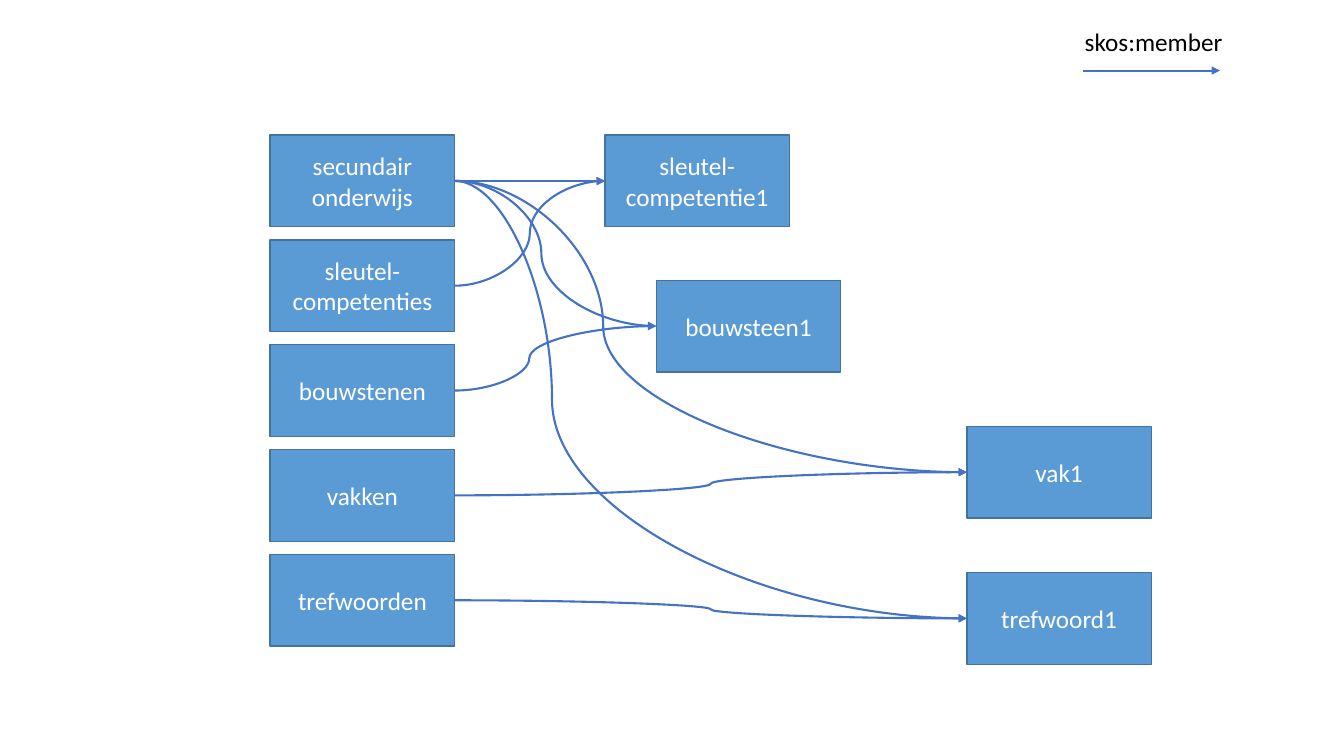
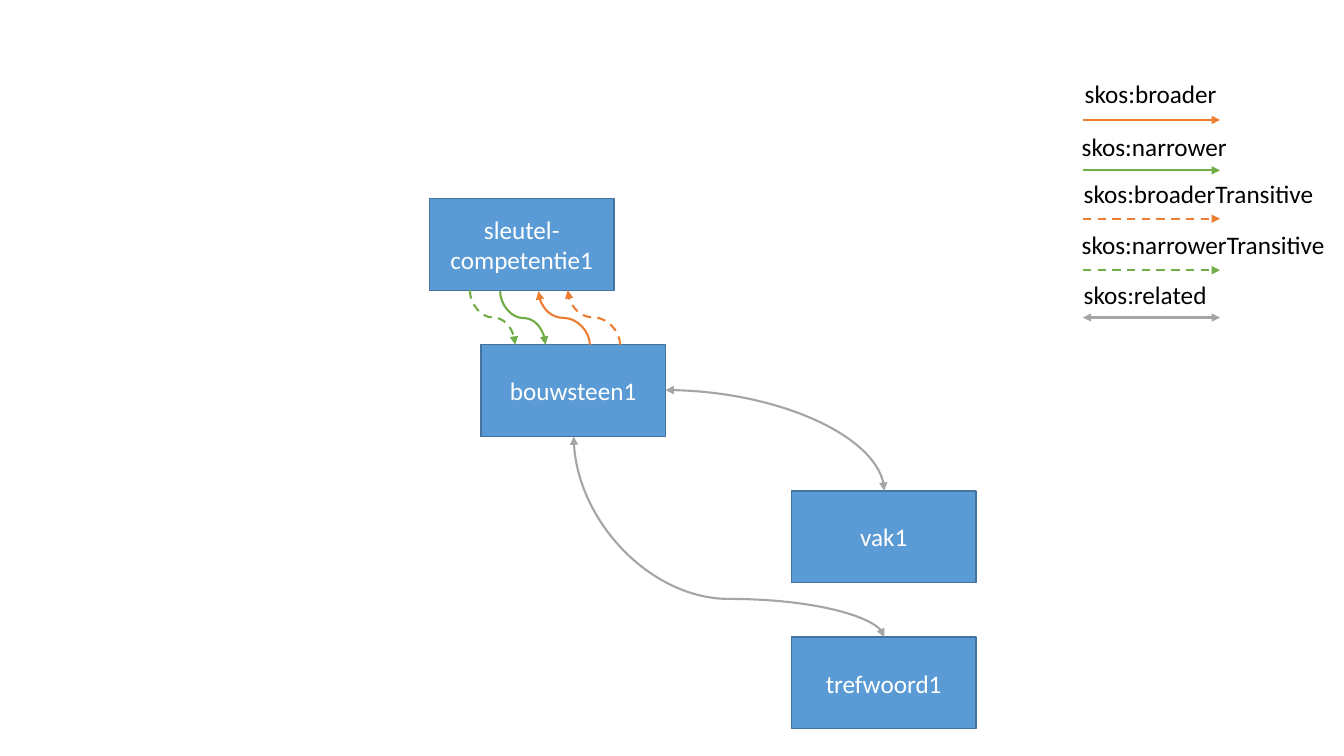
from lxml.etree import SubElement
from pptx import Presentation
from pptx.dml.color import RGBColor
from pptx.enum.dml import MSO_LINE
from pptx.enum.shapes import MSO_CONNECTOR, MSO_SHAPE
from pptx.enum.text import MSO_ANCHOR, PP_ALIGN
from pptx.oxml.ns import qn
from pptx.util import Pt

PX = 9144  # EMU in one px, 100 px to the inch
SLIDE_WIDTH, SLIDE_HEIGHT = 1333, 750
BOX_WIDTH, BOX_HEIGHT = 183, 91
LABEL_HEIGHT = 40
LEGEND_LEFT, LEGEND_RIGHT = 1074, 1210
TOP_SITE, LEFT_SITE, BOTTOM_SITE, RIGHT_SITE = range(4)

COLORS = {
    "box": "5B9BD5", "border": "43739E", "box text": "FFFFFF", "label": "000000",
    "member": "4472C4", "broader": "ED7D31", "narrower": "70AD47", "related": "A5A5A5",
}
FONT = {"name": "Calibri", "size": Pt(18)}

# Arrow styles: colour, dashed, two-headed
STYLES = {
    "member": ("member", False, False),
    "broader": ("broader", False, False),
    "narrower": ("narrower", False, False),
    "broaderTransitive": ("broader", True, False),
    "narrowerTransitive": ("narrower", True, False),
    "related": ("related", False, True),
}

# Legend entries: style, label left, label top, label width, arrow y
MEMBER_LEGEND = [("member", 1066, 21, 158, 70)]
RELATION_LEGEND = [
    ("broader", 1066, 73, 152, 119),
    ("narrower", 1063, 125, 166, 169),
    ("broaderTransitive", 1065, 172, 250, 217),
    ("narrowerTransitive", 1063, 223, 263, 268),
    ("related", 1065, 272, 143, 315),
]

COLLECTIONS_LEFT, COLLECTIONS_TOP, COLLECTIONS_STEP = 268, 134, 104
COLLECTIONS = ["secundair onderwijs", "sleutel-competenties", "bouwstenen", "vakken", "trefwoorden"]
MEMBERS = [
    ("sleutel-competentie1", 600, 134),
    ("bouwsteen1", 651, 278),
    ("vak1", 959, 423),
    ("trefwoord1", 959, 568),
]
# Collection, member, place of the bend as a share of the width
MEMBERSHIPS = [
    ("secundair onderwijs", "sleutel-competentie1", 0.5),
    ("secundair onderwijs", "bouwsteen1", 0.43),
    ("secundair onderwijs", "vak1", 0.29),
    ("secundair onderwijs", "trefwoord1", 0.19),
    ("sleutel-competenties", "sleutel-competentie1", 0.5),
    ("bouwstenen", "bouwsteen1", 0.37),
    ("vakken", "vak1", 0.5),
    ("trefwoorden", "trefwoord1", 0.5),
]

CONCEPTS_TOP, CONCEPTS_STEP = 197, 145
CONCEPTS = [("sleutel-competentie1", 426), ("bouwsteen1", 477), ("vak1", 785), ("trefwoord1", 785)]
# Style, start, end, place of the bend (None: a single quarter turn)
RELATIONS = [
    ("broader", (585, 342), (534, 289), 0.5),
    ("narrower", (496, 289), (541, 342), 0.5),
    ("broaderTransitive", (615, 342), (563, 288), 0.5),
    ("narrowerTransitive", (466, 288), (511, 342), 0.5),
    ("related", (877, 632), (569, 433), 0.19),
    ("related", (877, 487), (660, 387), None),
]


def px(*lengths):
    return [round(length * PX) for length in lengths]


def color(name):
    return RGBColor.from_string(COLORS[name])


def write(frame, text, text_color, alignment):
    paragraph = frame.paragraphs[0]
    paragraph.alignment = alignment
    run = paragraph.add_run()
    run.text = text
    for attribute, value in FONT.items():
        setattr(run.font, attribute, value)
    run.font.color.rgb = color(text_color)


def add_box(slide, text, left, top):
    shape = slide.shapes.add_shape(MSO_SHAPE.RECTANGLE, *px(left, top, BOX_WIDTH, BOX_HEIGHT))
    shape.shadow.inherit = False
    shape.fill.solid()
    shape.fill.fore_color.rgb = color("box")
    shape.line.color.rgb = color("border")
    shape.line.width = Pt(1)
    shape.text_frame.word_wrap = True
    shape.text_frame.vertical_anchor = MSO_ANCHOR.MIDDLE
    write(shape.text_frame, text, "box text", PP_ALIGN.CENTER)
    return shape


def add_arrow(slide, style, start, end, kind=MSO_CONNECTOR.STRAIGHT):
    color_name, dashed, two_headed = STYLES[style]
    arrow = slide.shapes.add_connector(kind, *px(*start, *end))
    arrow.line.color.rgb = color(color_name)
    arrow.line.width = Pt(1.5)
    if dashed:
        arrow.line.dash_style = MSO_LINE.DASH
    properties = arrow._element.spPr
    outline = properties.find(qn("a:ln"))
    for tag in ["a:headEnd", "a:tailEnd"] if two_headed else ["a:tailEnd"]:
        SubElement(outline, qn(tag), type="triangle")
    SubElement(properties, qn("a:effectLst"))
    return arrow


def set_bend(arrow, bend):
    geometry = arrow._element.spPr.find(qn("a:prstGeom"))
    if bend is None:
        geometry.set("prst", "curvedConnector2")
        return
    adjustments = geometry.find(qn("a:avLst"))
    if adjustments is None:
        adjustments = SubElement(geometry, qn("a:avLst"))
    SubElement(adjustments, qn("a:gd"), name="adj1", fmla=f"val {round(bend * 100000)}")


def add_upright_curve(slide, style, start, end, bend):
    """Add a curve that leaves its start vertically: a level curve turned by 270 degrees."""
    (x1, y1), (x2, y2) = start, end
    middle_x, middle_y = (x1 + x2) / 2, (y1 + y2) / 2
    half_x, half_y = (x2 - x1) / 2, (y2 - y1) / 2
    arrow = add_arrow(slide, style, (middle_x + half_y, middle_y - half_x),
                      (middle_x - half_y, middle_y + half_x), MSO_CONNECTOR.CURVE)
    arrow._element.spPr.find(qn("a:xfrm")).set("rot", str(270 * 60000))
    set_bend(arrow, bend)


def add_legend(slide, entries):
    for style, left, top, width, arrow_y in entries:
        label = slide.shapes.add_textbox(*px(left, top, width, LABEL_HEIGHT))
        label.text_frame.word_wrap = False
        write(label.text_frame, f"skos:{style}", "label", PP_ALIGN.LEFT)
        add_arrow(slide, style, (LEGEND_LEFT, arrow_y), (LEGEND_RIGHT, arrow_y))


def build_membership_slide(slide):
    boxes = {}
    for row, text in enumerate(COLLECTIONS):
        boxes[text] = add_box(slide, text, COLLECTIONS_LEFT, COLLECTIONS_TOP + row * COLLECTIONS_STEP)
    for text, left, top in MEMBERS:
        boxes[text] = add_box(slide, text, left, top)
    for collection, member, bend in MEMBERSHIPS:
        arrow = add_arrow(slide, "member", (0, 0), (0, 0), MSO_CONNECTOR.CURVE)
        arrow.begin_connect(boxes[collection], RIGHT_SITE)
        arrow.end_connect(boxes[member], LEFT_SITE)
        set_bend(arrow, bend)
    add_legend(slide, MEMBER_LEGEND)


def build_relation_slide(slide):
    for row, (text, left) in enumerate(CONCEPTS):
        add_box(slide, text, left, CONCEPTS_TOP + row * CONCEPTS_STEP)
    for relation in RELATIONS:
        add_upright_curve(slide, *relation)
    add_legend(slide, RELATION_LEGEND)


def main():
    presentation = Presentation()
    presentation.slide_width, presentation.slide_height = px(SLIDE_WIDTH, SLIDE_HEIGHT)
    blank_layout = presentation.slide_layouts[6]
    for build in (build_membership_slide, build_relation_slide):
        build(presentation.slides.add_slide(blank_layout))
    presentation.save("out.pptx")


if __name__ == "__main__":
    main()
